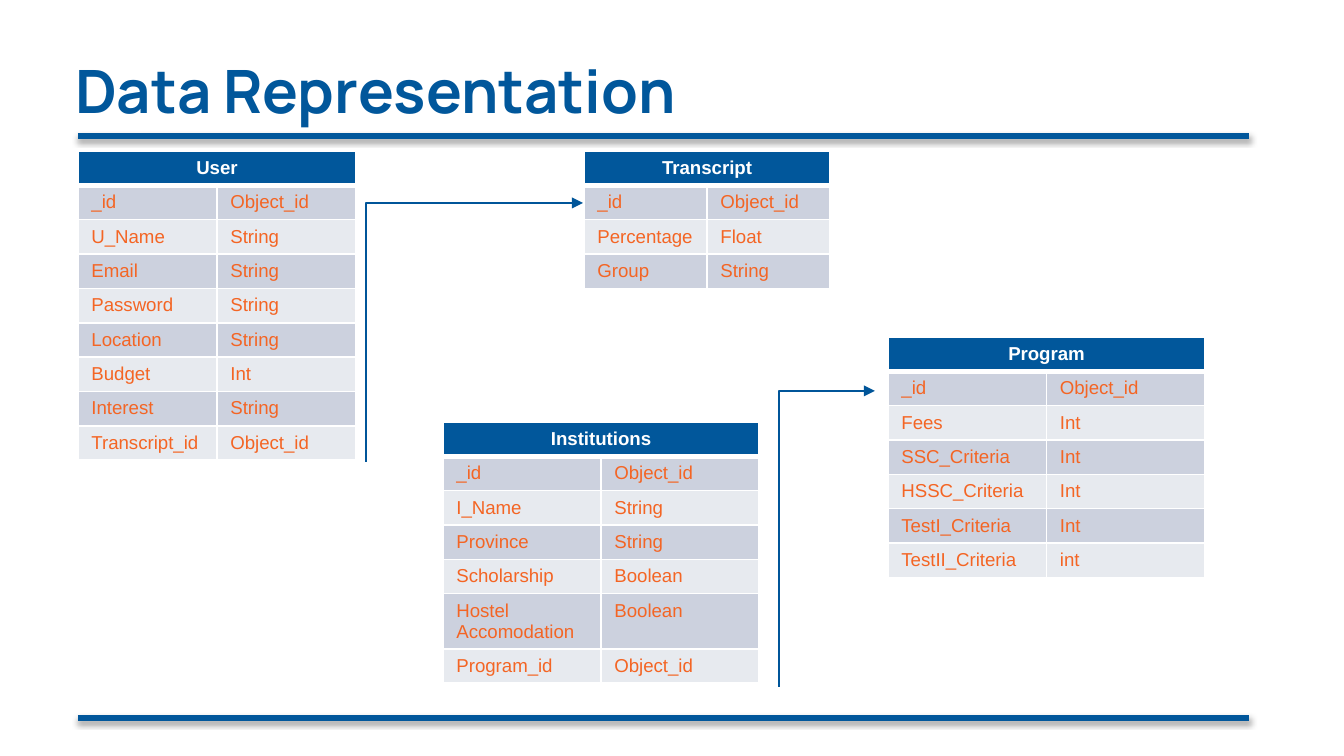
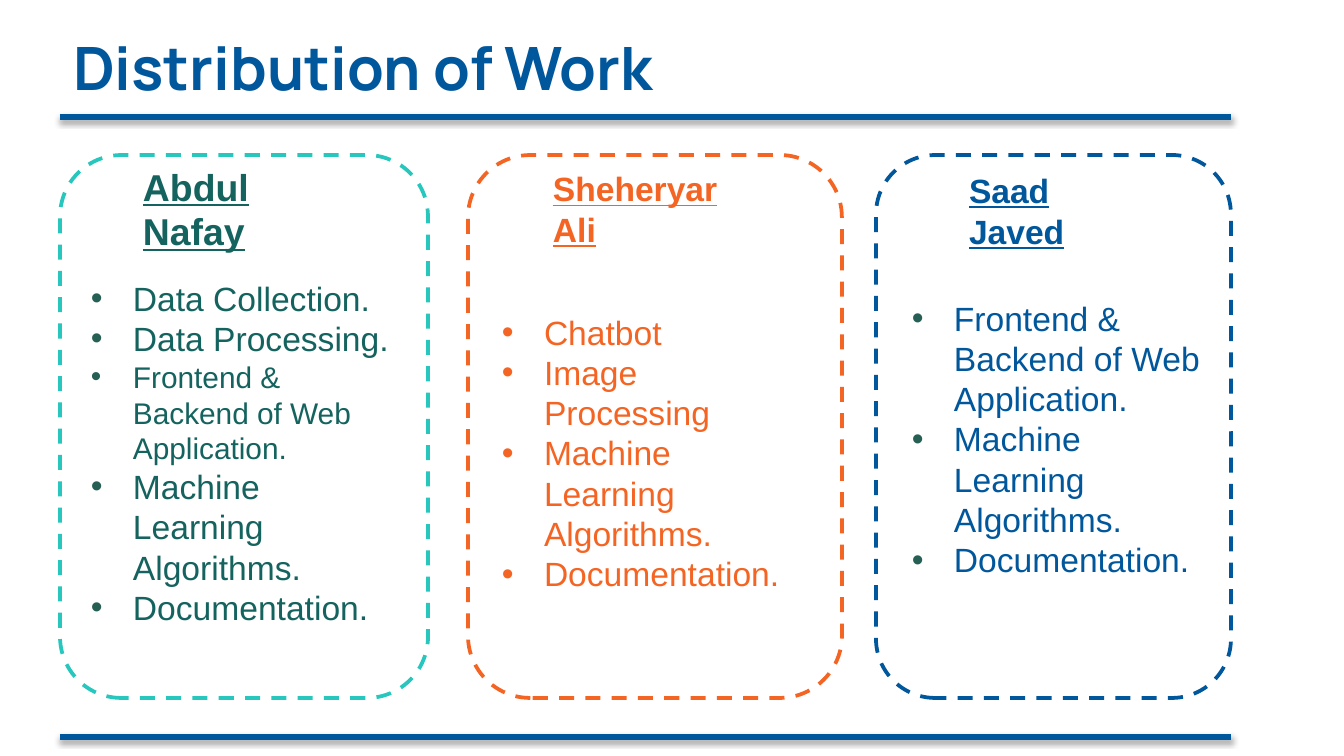
from dataclasses import dataclass

from lxml import etree
from pptx import Presentation
from pptx.dml.color import RGBColor
from pptx.enum.dml import MSO_LINE_DASH_STYLE
from pptx.enum.shapes import MSO_CONNECTOR, MSO_SHAPE
from pptx.enum.text import MSO_ANCHOR, MSO_AUTO_SIZE, PP_ALIGN
from pptx.oxml import parse_xml
from pptx.oxml.ns import nsdecls, qn
from pptx.util import Pt

STRAIGHT, ELBOW = MSO_CONNECTOR.STRAIGHT, MSO_CONNECTOR.ELBOW
ROUNDED = MSO_SHAPE.ROUNDED_RECTANGLE
DASH = MSO_LINE_DASH_STYLE.DASH
MIDDLE = MSO_ANCHOR.MIDDLE
NO_FIT = MSO_AUTO_SIZE.NONE
LEFT, CENTER = PP_ALIGN.LEFT, PP_ALIGN.CENTER
TITLE_ONLY = 5
EMU_PER_PX = 914400 / 134.4


@dataclass(frozen=True)
class Theme:
    """Colours, fonts and type sizes shared by the slides."""
    blue: str = "01579B"
    link: str = "005599"
    orange: str = "F46524"
    teal: str = "27C7BD"
    green: str = "14635E"
    bullet: str = "265F53"
    white: str = "FFFFFF"
    bands: tuple = ("CCD1DE", "E7EAEF")
    title_font: str = "Manrope"
    body_font: str = "Arial"
    title: int = 32
    large: int = 20
    body: int = 18
    small: int = 16
    cell: int = 10


THEME = Theme()
INSET = 13
BLANK_LINE = 45
ROW_H = 34
FRAME_ROW_H = 36

ENTITIES = [
    ("User", (78, 151, 278), [
        ("_id", "Object_id"), ("U_Name", "String"), ("Email", "String"),
        ("Password", "String"), ("Location", "String"), ("Budget", "Int"),
        ("Interest", "String"), ("Transcript_id", "Object_id")]),
    ("Transcript", (584, 151, 246), [
        ("_id", "Object_id"), ("Percentage", "Float"), ("Group", "String")]),
    ("Institutions", (443, 422, 316), [
        ("_id", "Object_id"), ("I_Name", "String"), ("Province", "String"),
        ("Scholarship", "Boolean"), ("Hostel Accomodation", "Boolean"),
        ("Program_id", "Object_id")]),
    ("Program", (888, 337, 317), [
        ("_id", "Object_id"), ("Fees", "Int"), ("SSC_Criteria", "Int"),
        ("HSSC_Criteria", "Int"), ("TestI_Criteria", "Int"),
        ("TestII_Criteria", "int")]),
]
LINKS = [((366, 462), (583, 203)), ((779, 687), (875, 391))]

WEB = "Frontend & Backend of Web Application."
ML = "Machine Learning Algorithms."
DOCS = "Documentation."


@dataclass(frozen=True)
class Member:
    """One team member's card: name runs, tasks, colours and offsets."""
    name: list
    tasks: list
    color: str
    outline: str
    bullet: str
    width: int
    name_box: tuple
    task_box: tuple


TEAM = [
    Member([("Abdul Nafay", THEME.large, THEME.green)],
           [("Data Collection.", THEME.body), ("Data Processing.", THEME.body),
            (WEB, THEME.small), (ML, THEME.body), (DOCS, THEME.body)],
           THEME.green, THEME.teal, THEME.bullet, 368,
           (70, 16, 231), (18, 125)),
    Member([("Sheheryar Ali", THEME.body, THEME.orange)],
           [("Chatbot", THEME.body), ("Image Processing", THEME.body),
            (ML, THEME.body), (DOCS, THEME.body)],
           THEME.orange, THEME.orange, THEME.orange, 374,
           (72, 16, 230), (21, 125)),
    Member([("Saad", THEME.body, THEME.blue), (" ", THEME.large, THEME.green),
            ("Javed", THEME.body, THEME.blue)],
           [(WEB, THEME.body), (ML, THEME.body), (DOCS, THEME.body)],
           THEME.blue, THEME.blue, THEME.bullet, 355,
           (80, 16, 195), (23, 111)),
]


def px(n):
    """Turn pixels into EMU."""
    return round(n * EMU_PER_PX)


def rgb(color):
    """Turn a hex string into a colour."""
    return RGBColor.from_string(color)


def add_run(p, text, size, color, font=THEME.body_font, bold=False, underline=None):
    """Add one formatted run to a paragraph."""
    r = p.add_run()
    r.text = text
    r.font.size, r.font.name = Pt(size), font
    r.font.bold, r.font.underline = bold, underline
    r.font.color.rgb = rgb(color)


def format_frame(tf, bottom=INSET):
    """Give a text frame equal insets, wrapping and a middle anchor."""
    tf.word_wrap = True
    tf.auto_size = NO_FIT
    tf.vertical_anchor = MIDDLE
    tf.margin_left = tf.margin_right = tf.margin_top = px(INSET)
    tf.margin_bottom = px(bottom)


def add_textbox(slide, box, bottom=INSET):
    """Add a formatted text box and return its frame."""
    tf = slide.shapes.add_textbox(*map(px, box)).text_frame
    format_frame(tf, bottom)
    return tf


def add_line(slide, kind, start, end, color, width):
    """Add a connector with an empty effect list and return it."""
    cxn = slide.shapes.add_connector(kind, *map(px, start + end))
    cxn.line.color.rgb = rgb(color)
    cxn.line.width = Pt(width)
    etree.SubElement(cxn._element.spPr, qn("a:effectLst"))
    return cxn


def add_rule(slide, x, y):
    """Add a wide blue rule with a soft shadow below it."""
    cxn = add_line(slide, STRAIGHT, (x, y), (x + 1171, y), THEME.blue, 3)
    cxn._element.spPr.find(qn("a:effectLst")).append(parse_xml(
        f'<a:outerShdw {nsdecls("a")} blurRad="40000" dist="23000" dir="5400000" '
        'rotWithShape="0"><a:srgbClr val="000000"><a:alpha val="35000"/>'
        '</a:srgbClr></a:outerShdw>'))


def add_titled_slide(prs, title, title_at, rule_x, rule_ys):
    """Add a slide with its title and its upper and lower rules."""
    slide = prs.slides.add_slide(prs.slide_layouts[TITLE_ONLY])
    sp = slide.shapes.title
    sp.left, sp.top, sp.width, sp.height = map(px, title_at + (1219, 93))
    format_frame(sp.text_frame)
    p = sp.text_frame.paragraphs[0]
    p.alignment = LEFT
    add_run(p, title, THEME.title, THEME.blue, THEME.title_font, True)
    for y in rule_ys:
        add_rule(slide, rule_x, y)
    return slide


def add_border(cell, side, width):
    """Draw one white side of a cell."""
    cell._tc.get_or_add_tcPr().append(parse_xml(
        f'<a:ln{side} {nsdecls("a")} w="{Pt(width)}"><a:solidFill>'
        f'<a:srgbClr val="{THEME.white}"/></a:solidFill></a:ln{side}>'))


def fill_cell(cell, row, text):
    """Border, fill and write one cell of an entity table."""
    thick = {(0, "B"), (1, "T")}
    for side in "LRTB":
        add_border(cell, side, 3 if (row, side) in thick else 1)
    cell.fill.solid()
    cell.fill.fore_color.rgb = rgb(THEME.bands[(row - 1) % 2] if row else THEME.blue)
    if text:
        p = cell.text_frame.paragraphs[0]
        p.alignment = LEFT if row else CENTER
        add_run(p, text, THEME.cell, THEME.orange if row else THEME.white,
                bold=not row)


def add_entity(slide, name, box, fields):
    """Add a table with a merged header and one row per field."""
    x, y, w = box
    rows = [(name, "")] + fields
    frame = slide.shapes.add_table(
        len(rows), 2, *map(px, (x, y, w, len(rows) * ROW_H)))
    table = frame.table
    table.first_row = table.horz_banding = False
    table.cell(0, 0).merge(table.cell(0, 1))
    for i, texts in enumerate(rows):
        for j, text in enumerate(texts):
            fill_cell(table.cell(i, j), i, text)
    frame.height = px(len(rows) * FRAME_ROW_H)


def add_link(slide, start, end):
    """Add an arrow that rises first and then runs right."""
    cxn = add_line(slide, ELBOW, start, end, THEME.link, 0.75)
    guides = cxn._element.spPr.find(qn("a:prstGeom")).find(qn("a:avLst"))
    etree.SubElement(guides, qn("a:gd"), name="adj1", fmla="val 0")
    etree.SubElement(cxn.line._get_or_add_ln(), qn("a:tailEnd"), type="triangle")


def add_bullet(p, color):
    """Give a paragraph a hanging coloured bullet."""
    pPr = p._p.get_or_add_pPr()
    pPr.set("marL", str(px(42)))
    pPr.set("indent", str(-px(42)))
    clr = etree.SubElement(pPr, qn("a:buClr"))
    etree.SubElement(clr, qn("a:srgbClr"), val=color)
    etree.SubElement(pPr, qn("a:buFont"), typeface=THEME.body_font)
    etree.SubElement(pPr, qn("a:buChar"), char="•")


def add_outline(slide, box, color):
    """Add a dashed rounded outline, turned a quarter to stand upright."""
    x, y, w, h = box
    shift = (h - w) / 2
    sp = slide.shapes.add_shape(ROUNDED, *map(px, (x - shift, y + shift, h, w)))
    sp.rotation = 270
    sp.shadow.inherit = False
    sp.fill.background()
    sp.line.color.rgb = rgb(color)
    sp.line.width = Pt(2)
    sp.line.dash_style = DASH


def add_card(slide, member, box):
    """Add a member's outline, name and task list inside a box."""
    x, y, _, _ = box
    add_outline(slide, box, member.outline)
    dx, dy, w = member.name_box
    p = add_textbox(slide, (x + dx, y + dy, w, 75)).paragraphs[0]
    for text, size, color in member.name:
        add_run(p, text, size, color, bold=True, underline=True)
    dx, dy = member.task_box
    tf = add_textbox(slide, (x + dx, y + dy, 332, 390), INSET + BLANK_LINE)
    for i, (text, size) in enumerate(member.tasks):
        p = tf.add_paragraph() if i else tf.paragraphs[0]
        add_bullet(p, member.bullet)
        add_run(p, text, size, member.color)


def build_data_slide(prs):
    """Build the slide of linked entity tables."""
    slide = add_titled_slide(prs, "Data Representation", (62, 43), 78, (136, 718))
    for name, box, fields in ENTITIES:
        add_entity(slide, name, box, fields)
    for start, end in LINKS:
        add_link(slide, start, end)


def build_work_slide(prs):
    """Build the slide of team member cards."""
    slide = add_titled_slide(prs, "Distribution of Work", (60, 20), 60, (117, 737))
    for i, member in enumerate(TEAM):
        add_card(slide, member, (60 + 408 * i, 155, member.width, 543))


def main():
    """Build and save the presentation."""
    prs = Presentation()
    prs.slide_width, prs.slide_height = px(1344), px(756)
    build_data_slide(prs)
    build_work_slide(prs)
    prs.save("out.pptx")


if __name__ == "__main__":
    main()
